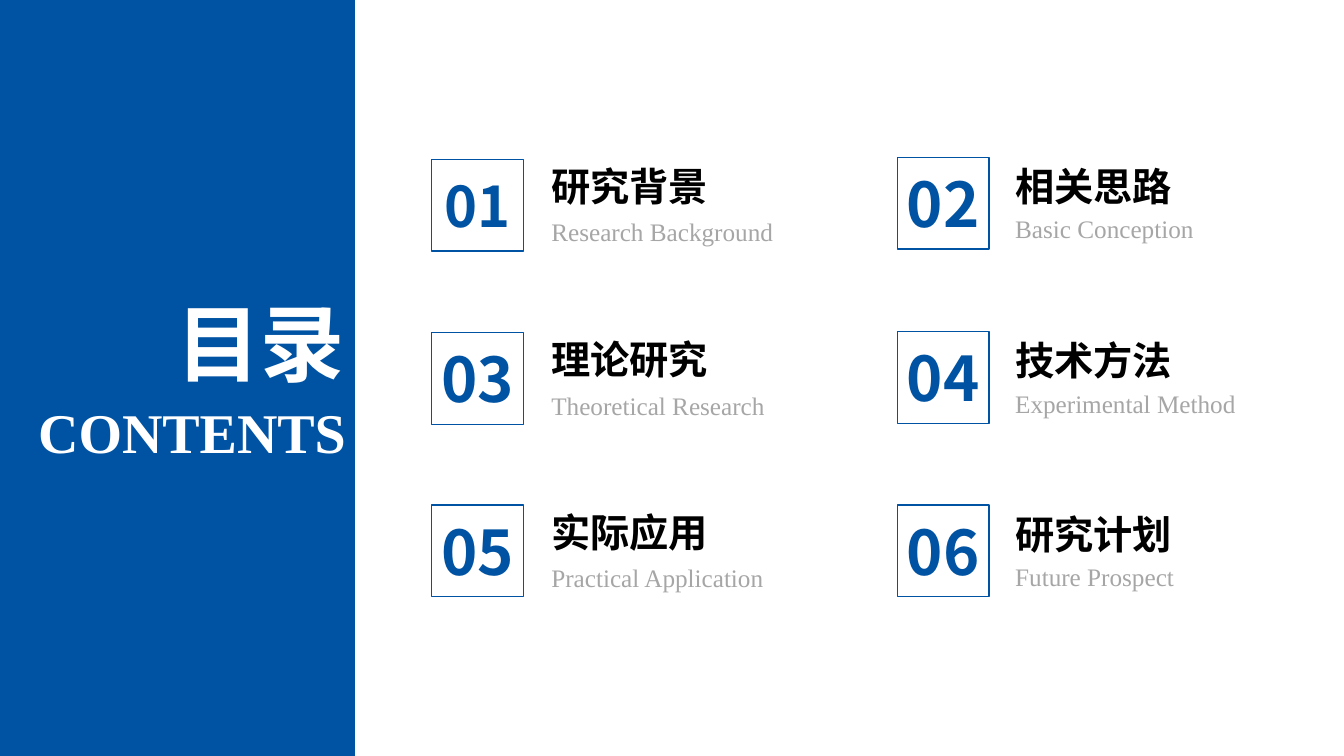
from lxml import etree
from pptx import Presentation
from pptx.dml.color import RGBColor
from pptx.enum.shapes import MSO_SHAPE
from pptx.enum.text import MSO_AUTO_SIZE, PP_ALIGN
from pptx.oxml.ns import qn
from pptx.util import Inches, Pt

BLUE = RGBColor(0x00, 0x53, 0xA3)
WHITE = RGBColor(0xFF, 0xFF, 0xFF)
BLACK = RGBColor(0x00, 0x00, 0x00)
GRAY = RGBColor(0xA6, 0xA6, 0xA6)
SANS = "Noto Sans CJK SC"
SERIF = "Times New Roman"
SQUARE = 0.91

presentation = Presentation()
presentation.slide_width = Inches(13.33)
presentation.slide_height = Inches(7.5)
slide = presentation.slides.add_slide(presentation.slide_layouts[6])


def add_text(text, left, top, width, height, size, font_name, color, bold=True, align=PP_ALIGN.LEFT):
    box = slide.shapes.add_textbox(Inches(left), Inches(top), Inches(width), Inches(height))
    frame = box.text_frame
    frame.word_wrap = True
    frame.auto_size = MSO_AUTO_SIZE.SHAPE_TO_FIT_TEXT
    frame.text = text
    paragraph = frame.paragraphs[0]
    paragraph.alignment = align
    run = paragraph.runs[0]
    run.font.size = Pt(size)
    run.font.bold = bold
    run.font.color.rgb = color
    run.font.name = font_name
    east_asian = etree.SubElement(run.font._element, qn("a:ea"))
    east_asian.set("typeface", font_name)


def add_rectangle(left, top, width, height):
    shape = slide.shapes.add_shape(
        MSO_SHAPE.RECTANGLE, Inches(left), Inches(top), Inches(width), Inches(height))
    shape.shadow.inherit = False
    return shape


panel = add_rectangle(0, 0, 3.52, 7.5)
panel.fill.solid()
panel.fill.fore_color.rgb = BLUE
panel.line.fill.background()
add_text("目录", 0.98, 2.84, 2.54, 1.11, 60, SANS, WHITE, align=PP_ALIGN.RIGHT)
add_text("CONTENTS", 0, 3.89, 3.53, 0.77, 40, SERIF, WHITE, align=PP_ALIGN.RIGHT)

columns = [
    (4.28, 5.37, -0.02, 0.52, [
        ("01", "研究背景", "Research Background", 1.58),
        ("03", "理论研究", "Theoretical Research", 3.3),
        ("05", "实际应用", "Practical Application", 5.01),
    ]),
    (8.9, 9.97, 0, 0.51, [
        ("02", "相关思路", "Basic Conception", 1.56),
        ("04", "技术方法", "Experimental Method", 3.29),
        ("06", "研究计划", "Future Prospect", 5.01),
    ]),
]
for square_left, text_left, title_offset, subtitle_offset, chapters in columns:
    for number, title, subtitle, top in chapters:
        add_text(title, text_left, top + title_offset, 2.62, 0.57, 28, SANS, BLACK)
        add_text(subtitle, text_left, top + subtitle_offset, 2.62, 0.4, 18, SERIF, GRAY, bold=False)
        size, width, height = (40, 0.91, 0.77) if number == "01" else (44, 0.98, 0.84)
        add_text(number, square_left + (SQUARE - width) / 2, top + (SQUARE - height) / 2,
                 width, height, size, SANS, BLUE, align=PP_ALIGN.CENTER)
        square = add_rectangle(square_left, top, SQUARE, SQUARE)
        square.fill.background()
        square.line.color.rgb = BLUE
        square.line.width = Pt(1)

presentation.save("out.pptx")
